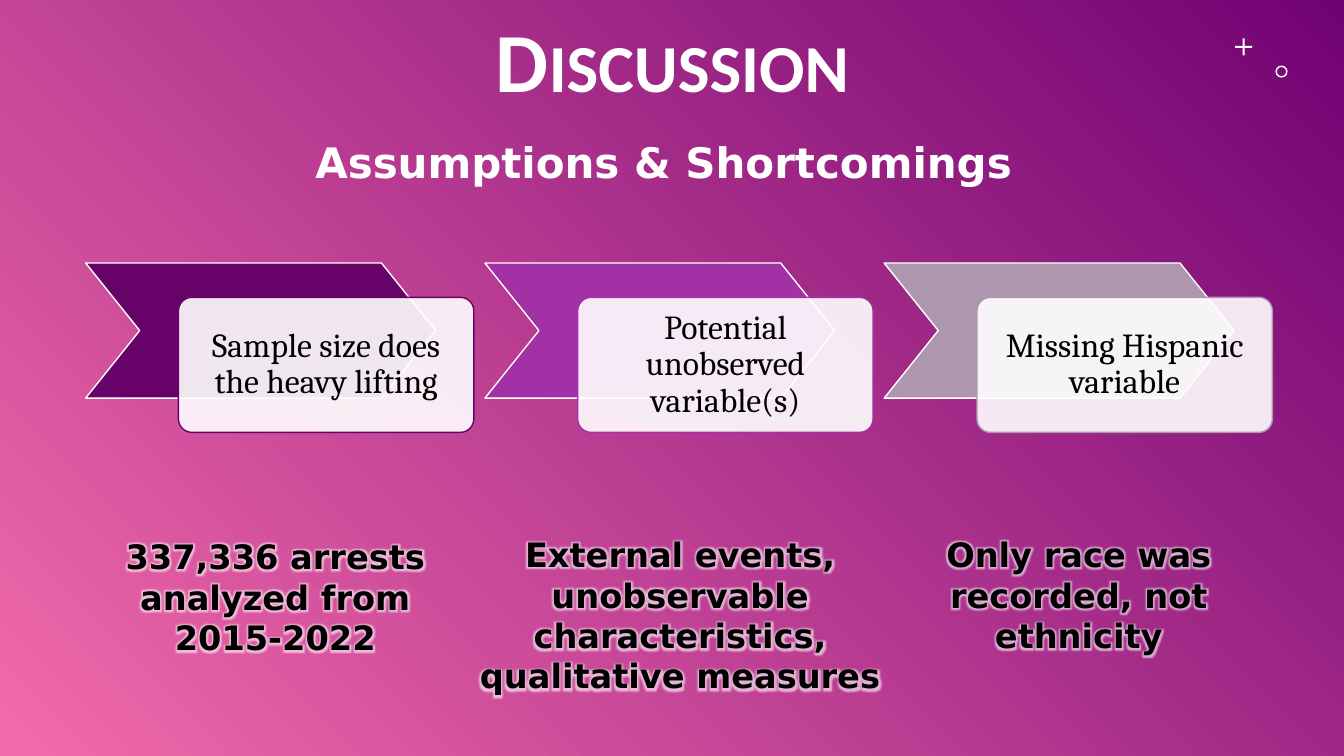
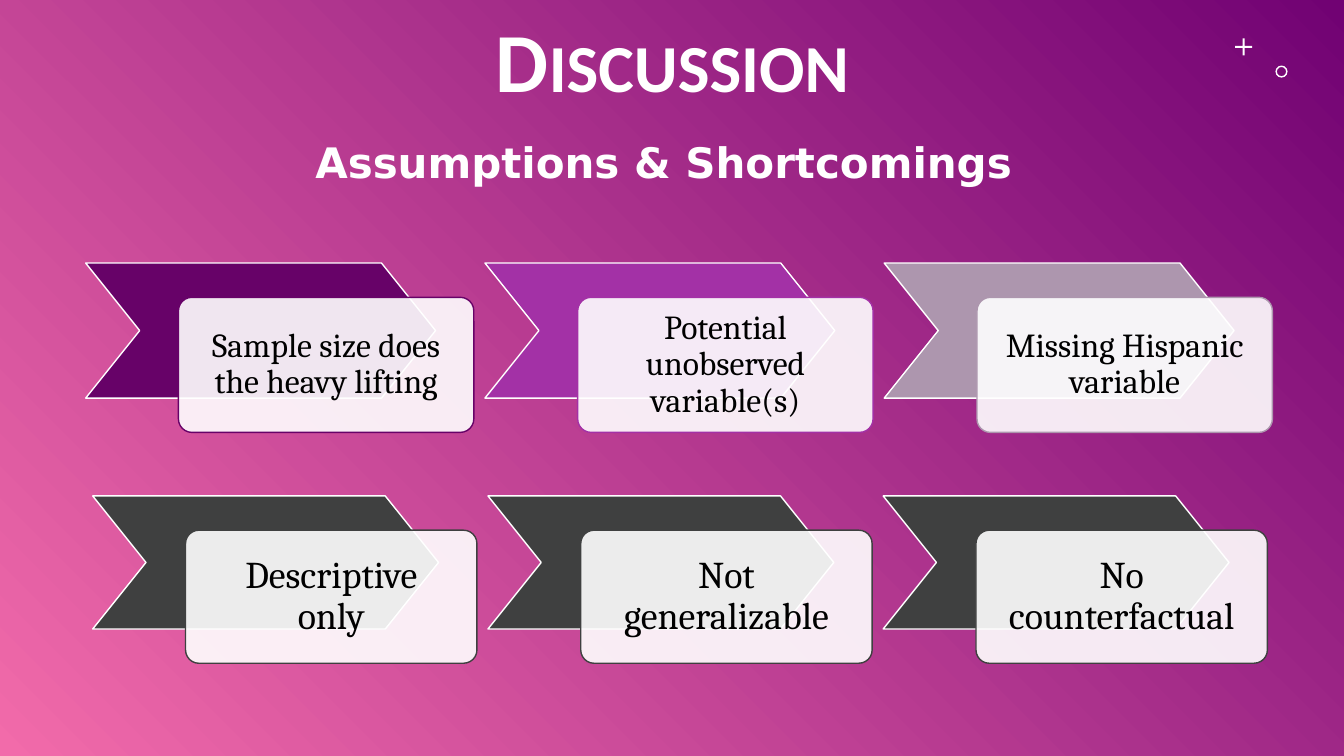
from lxml import etree
from pptx import Presentation
from pptx.dml.color import RGBColor
from pptx.enum.shapes import MSO_SHAPE
from pptx.enum.text import MSO_ANCHOR, PP_ALIGN
from pptx.oxml.ns import qn
from pptx.util import Inches, Pt

# Colours and fonts
PINK = RGBColor(0xF2, 0x6B, 0xAA)
PURPLE = RGBColor(0x71, 0x02, 0x73)
PLUM = RGBColor(0x67, 0x02, 0x68)
VIOLET = RGBColor(0xA3, 0x31, 0xA6)
MAUVE = RGBColor(0xAD, 0x96, 0xAE)
GRAY = RGBColor(0x3F, 0x40, 0x40)
WHITE = RGBColor(0xFF, 0xFF, 0xFF)
BLACK = RGBColor(0x00, 0x00, 0x00)
TITLE_FONT, CARD_FONT, NOTE_FONT = "Calibri", "Cambria", "DejaVu Sans"

# Content
TITLE = "Discussion"
SUBTITLE = "Assumptions & Shortcomings"
ISSUES = [
    ("Sample size does the heavy lifting", PLUM),
    ("Potential unobserved variable(s)", VIOLET),
    ("Missing Hispanic variable", MAUVE),
]
LIMITS = [
    ("Descriptive only", GRAY),
    ("Not generalizable", GRAY),
    ("No counterfactual", GRAY),
]
NOTES = [  # text, left, top, width, height
    ("337,336 arrests analyzed from 2015-2022", 1.09, 5.27, 3.28, 1.31),
    ("External events, unobservable characteristics, qualitative measures",
     4.65, 5.25, 4.19, 1.72),
    ("Only race was recorded, not ethnicity", 8.77, 5.25, 3.86, 1.31),
]

# Row geometry in inches, text size in points
ISSUE_ROW = dict(left=0.85, top=2.61, step=3.96, wide=3.47, card=2.93,
                 high=1.34, inset=0.23, size=24)
LIMIT_ROW = dict(left=0.92, top=4.92, step=3.92, wide=3.43, card=2.89,
                 high=1.32, inset=0.25, size=27)
CARD_DX, CARD_DY = 0.92, 0.34


def write(shape, text, font, size, color, bold=False, spacing=None):
    frame = shape.text_frame
    frame.word_wrap = True
    frame.text = text
    para = frame.paragraphs[0]
    para.alignment = PP_ALIGN.CENTER
    para.line_spacing = spacing
    run = para.runs[0]
    run.font.color.rgb = color
    run.font.name = font
    run.font.size = Pt(size)
    run.font.bold = bold
    return run


def add_text(slide, box, *style, **more):
    shape = slide.shapes.add_textbox(*map(Inches, box))
    return shape, write(shape, *style, **more)


def add_shape(shapes, kind, box, fill, adj, line=None):
    shape = shapes.add_shape(kind, *map(Inches, box))
    shape.shadow.inherit = False
    shape.adjustments[0] = adj
    shape.fill.solid()
    shape.fill.fore_color.rgb = fill
    if line is None:
        shape.line.fill.background()
    else:
        shape.line.color.rgb = line
        shape.line.width = Pt(1)
    return shape


def set_alpha(color, percent):
    etree.SubElement(color, qn("a:alpha")).set("val", str(percent * 1000))


def add_glow(run, color, points, percent):
    effects = etree.Element(qn("a:effectLst"))
    glow = etree.SubElement(effects, qn("a:glow"), rad=str(Pt(points)))
    tint = etree.SubElement(glow, qn("a:srgbClr"), val=str(color))
    set_alpha(tint, percent)
    run.font._element.find(qn("a:solidFill")).addnext(effects)


def add_row(slide, items, row):
    shapes = slide.shapes.add_group_shape().shapes
    for i, (text, color) in enumerate(items):
        left = row["left"] + i * row["step"]
        add_shape(shapes, MSO_SHAPE.CHEVRON,
                  (left, row["top"], row["wide"], row["high"]),
                  color, 0.4, WHITE)
        card = add_shape(shapes, MSO_SHAPE.ROUNDED_RECTANGLE,
                         (left + CARD_DX, row["top"] + CARD_DY,
                          row["card"], row["high"]), WHITE, 0.1, color)
        fill = card._element.spPr.find(qn("a:solidFill"))
        set_alpha(fill[0], 90)
        frame = card.text_frame
        frame.vertical_anchor = MSO_ANCHOR.MIDDLE
        frame.margin_left = frame.margin_right = Inches(row["inset"])
        frame.margin_top = frame.margin_bottom = Inches(row["inset"])
        write(card, text, CARD_FONT, row["size"], BLACK, spacing=0.9)


def add_slide(deck):
    slide = deck.slides.add_slide(deck.slide_layouts[6])
    # Corner ornaments
    add_shape(slide.shapes, MSO_SHAPE.CROSS, (12.25, 0.38, 0.17, 0.17),
              WHITE, 0.44)
    add_shape(slide.shapes, MSO_SHAPE.DONUT, (12.65, 0.65, 0.12, 0.12),
              WHITE, 0.12)
    # Title and subtitle
    title, run = add_text(slide, (0.78, 0.09, 11.78, 1.11), TITLE,
                          TITLE_FONT, 60, WHITE, bold=True, spacing=0.9)
    title.text_frame.vertical_anchor = MSO_ANCHOR.MIDDLE
    run.font._element.set("cap", "small")
    add_text(slide, (0, 1.31, 13.17, 0.87), SUBTITLE,
             NOTE_FONT, 30, WHITE, bold=True)
    add_row(slide, ISSUES, ISSUE_ROW)
    return slide


def main():
    deck = Presentation()
    deck.slide_width, deck.slide_height = Inches(13.33), Inches(7.5)

    # Shared background
    back = deck.slide_master.background.fill
    back.gradient()
    back.gradient_angle = 45
    for stop, color, place in zip(back.gradient_stops, (PINK, PURPLE), (0, 1)):
        stop.color.rgb = color
        stop.position = place

    # Slide 1: issues with notes
    slide = add_slide(deck)
    for text, *box in NOTES:
        _, run = add_text(slide, box, text, NOTE_FONT, 24, BLACK, bold=True)
        add_glow(run, WHITE, 8, 60)

    # Slide 2: issues and limits
    add_row(add_slide(deck), LIMITS, LIMIT_ROW)

    deck.save("out.pptx")


if __name__ == "__main__":
    main()
